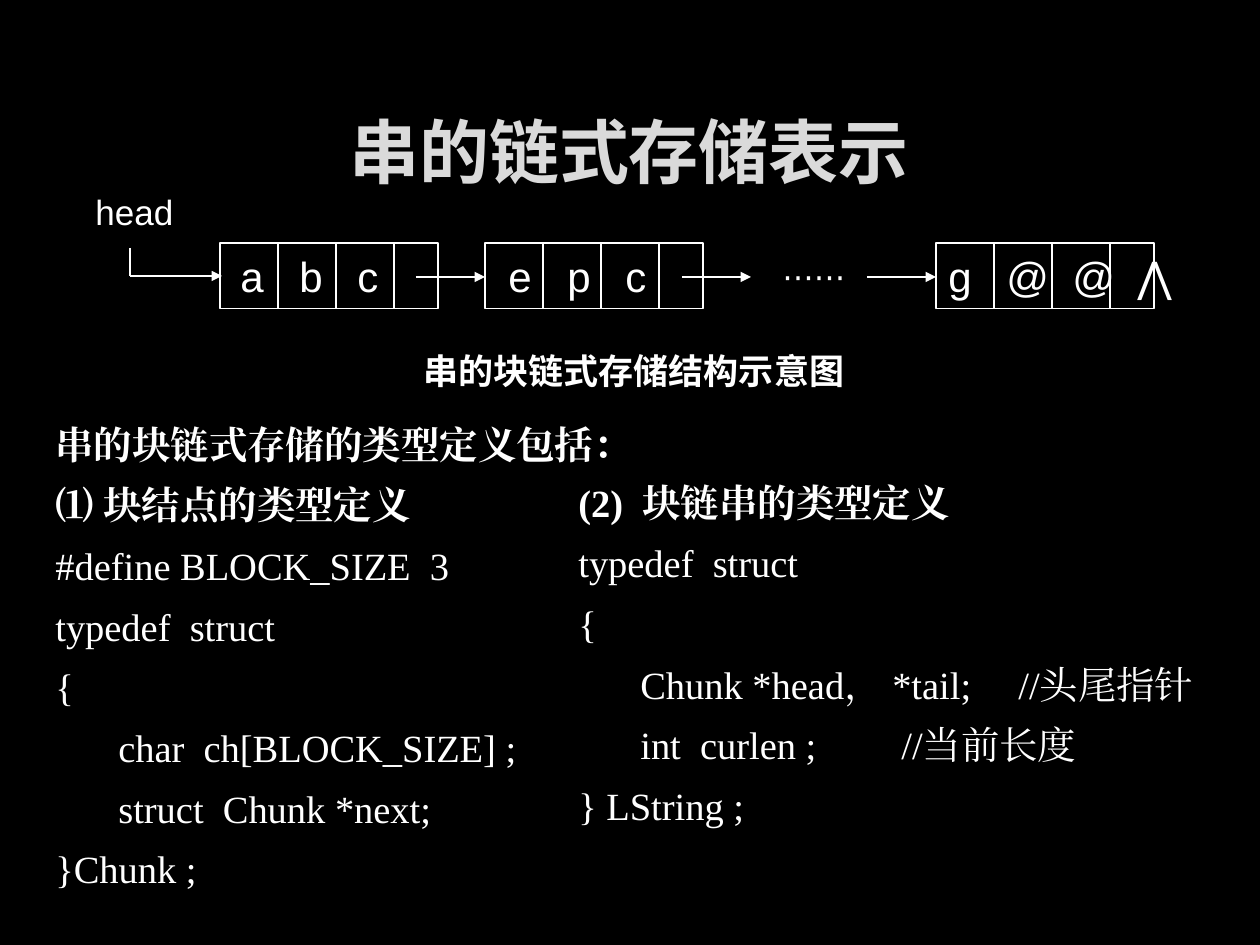
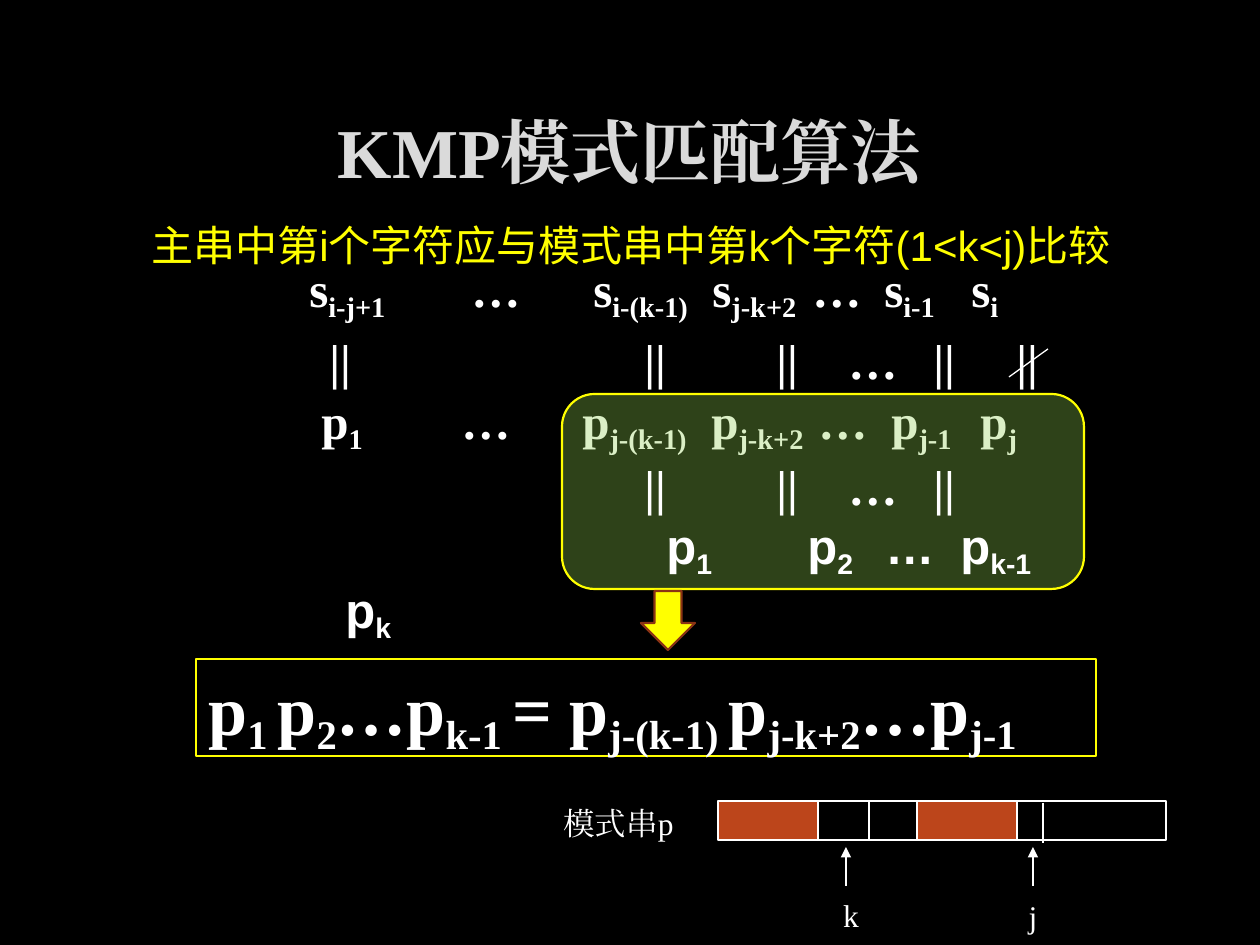
"""Build two dark lecture slides on linked strings and KMP matching."""
from lxml import etree
from pptx import Presentation
from pptx.dml.color import RGBColor
from pptx.enum.shapes import MSO_CONNECTOR, MSO_SHAPE
from pptx.enum.text import MSO_ANCHOR, PP_ALIGN
from pptx.oxml.ns import qn
from pptx.util import Pt

PIXEL = 7257
INSET = 13
RECTANGLE = MSO_SHAPE.RECTANGLE
ROUNDED = MSO_SHAPE.ROUNDED_RECTANGLE
DOWN_ARROW = MSO_SHAPE.DOWN_ARROW
STRAIGHT = MSO_CONNECTOR.STRAIGHT
TOP, MIDDLE = MSO_ANCHOR.TOP, MSO_ANCHOR.MIDDLE
LEFT, CENTER = PP_ALIGN.LEFT, PP_ALIGN.CENTER
SERIF, SANS, CHINESE = "Times New Roman", "Arial", "Noto Sans CJK SC"
BLACK, WHITE, YELLOW, RUST = "000000", "FFFFFF", "FFFF00", "BC451B"
GREEN, BROWN, TITLE_GRAY = "92D050", "8B3314", "DADADA"


def add_box(slide, box, text="", kind=None, fill=None, alpha=None, line=None, width=0.75,
            font=SERIF, size=18, color=WHITE, bold=False, bold_lines=0, align=LEFT,
            anchor=MIDDLE, wrap=True, tabs=(), line_spacing=None, space_before=0):
    """Add a text box or preset shape; ~ toggles subscript, tabs are slide x positions."""
    place = [value * PIXEL for value in box]
    if kind is None:
        shape = slide.shapes.add_textbox(*place)
    else:
        shape = slide.shapes.add_shape(kind, *place)
        shape.shadow.inherit = False
        if fill:
            shape.fill.solid()
            shape.fill.fore_color.rgb = RGBColor.from_string(fill)
            if alpha:
                solid = shape.fill.fore_color._xFill.find(qn("a:srgbClr"))
                etree.SubElement(solid, qn("a:alpha")).set("val", str(alpha * 1000))
        else:
            shape.fill.background()
        shape.line.color.rgb = RGBColor.from_string(line)
        shape.line.width = Pt(width)
    if not text:
        return
    frame = shape.text_frame
    frame.word_wrap = wrap
    frame.vertical_anchor = anchor
    for index, row in enumerate(text.split("\n")):
        paragraph = frame.add_paragraph() if index else frame.paragraphs[0]
        paragraph.alignment = align
        paragraph.line_spacing = line_spacing
        paragraph.space_before = Pt(space_before)
        if tabs:
            stops = etree.SubElement(paragraph._p.get_or_add_pPr(), qn("a:tabLst"))
            for tab in tabs:
                stop = etree.SubElement(stops, qn("a:tab"))
                stop.set("pos", str((tab - box[0] - INSET) * PIXEL))
                stop.set("algn", "l")
        for part, piece in enumerate(row.split("~")):
            if not piece:
                continue
            run = paragraph.add_run()
            run.text = piece
            run.font.name = font
            run.font.size = Pt(size)
            run.font.bold = bold or index < bold_lines
            run.font.color.rgb = RGBColor.from_string(color)
            properties = run._r.get_or_add_rPr()
            etree.SubElement(properties, qn("a:ea")).set("typeface", font)
            if part % 2:
                properties.set("baseline", "-20000")


def add_line(slide, start, end, width=0.75, arrow=False):
    """Add a straight white line between two points."""
    points = [value * PIXEL for value in (*start, *end)]
    connector = slide.shapes.add_connector(STRAIGHT, *points)
    connector.line.color.rgb = RGBColor.from_string(WHITE)
    connector.line.width = Pt(width)
    if arrow:
        etree.SubElement(connector.line._get_or_add_ln(), qn("a:tailEnd")).set("type", "triangle")
    etree.SubElement(connector._element.spPr, qn("a:effectLst"))


presentation = Presentation()
presentation.slide_width = 1260 * PIXEL
presentation.slide_height = 945 * PIXEL

slides = []
for title, font in (("串的链式存储表示", CHINESE), ("KMP模式匹配算法", SERIF)):
    slide = presentation.slides.add_slide(presentation.slide_layouts[6])
    slide.background.fill.solid()
    slide.background.fill.fore_color.rgb = RGBColor.from_string(BLACK)
    add_box(slide, (94, 84, 1070, 134), title, font=font, size=40, color=TITLE_GRAY,
            bold=True, align=CENTER)
    slides.append(slide)
storage, matching = slides

NODE_TOP, NODE_HEIGHT, NODE_WIDTH, CELL = 243, 66, 218, 58
nodes = (
    (220, "\ta\tb\tc", (241, 300, 358)),
    (485, "\te\tp\tc", (509, 568, 626)),
    (936, "g\t@\t@\t⋀", (1007, 1073, 1138)),
)
for left, letters, tabs in nodes:
    add_box(storage, (left, NODE_TOP, NODE_WIDTH, NODE_HEIGHT), letters, kind=RECTANGLE,
            line=WHITE, font=SANS, size=24, wrap=False, tabs=tabs)
    for cell in range(1, 4):
        x = left + cell * CELL
        add_line(storage, (x, NODE_TOP), (x, NODE_TOP + NODE_HEIGHT))
for x in (416, 682, 867):
    add_line(storage, (x, 277), (x + 69, 277), width=1.5, arrow=True)
add_box(storage, (762, 243, 104, 66), "⋯⋯", font=SANS, align=CENTER)
add_box(storage, (83, 179, 110, 66), "head", font=SANS, size=20)
add_line(storage, (130, 248), (130, 276), width=1.5)
add_line(storage, (130, 276), (222, 276), width=1.5, arrow=True)
add_box(storage, (311, 336, 646, 69), "串的块链式存储结构示意图", font=CHINESE, size=20,
        bold=True, align=CENTER)

chunk_code = """串的块链式存储的类型定义包括：
⑴ 块结点的类型定义
#define BLOCK_SIZE  3
typedef  struct
{
\tchar  ch[BLOCK_SIZE] ;
\tstruct  Chunk *next;
}Chunk ;"""
string_code = """(2)  块链串的类型定义
typedef  struct
{
\tChunk *head， *tail; \t//头尾指针
\tint  curlen ;\t//当前长度
} LString ;"""
for box, code, bold_lines, tabs in (
    ((43, 410, 581, 489), chunk_code, 2, (119,)),
    ((566, 468, 655, 367), string_code, 1, (641, 902, 1019)),
):
    add_box(storage, box, code, size=22, bold_lines=bold_lines, anchor=TOP, tabs=tabs,
            line_spacing=1.1, space_before=5.6)

add_box(matching, (286, 384, 873, 72),
        "\tp~1~\t…\tp~j-(k-1)~\tp~j-k+2~\t…\tp~j-1~\tp~j~", size=28, bold=True,
        anchor=TOP, tabs=(322, 462, 583, 712, 819, 892, 981))
add_box(matching, (268, 324, 924, 72), "\t||\t||\t||\t…\t||\t||", size=28, bold=True,
        anchor=TOP, tabs=(330, 645, 777, 849, 934, 1017))
add_line(matching, (1009, 377), (1048, 349))
add_box(matching, (562, 394, 522, 195), kind=ROUNDED, fill=GREEN, alpha=32, line=YELLOW,
        width=1.25)
add_box(matching, (641, 591, 54, 59), kind=DOWN_ARROW, fill=YELLOW, line=BROWN, width=1.25)
add_box(matching, (196, 659, 900, 97),
        "p~1 ~p~2~…p~k-1 ~= p~j-(k-1) ~p~j-k+2~…p~j-1~", kind=RECTANGLE, line=YELLOW,
        size=40, bold=True, anchor=TOP)

for left, width, fill in ((718, 100, RUST), (917, 100, RUST), (818, 99, None),
                          (1017, 149, None)):
    add_box(matching, (left, 801, width, 39), kind=RECTANGLE, fill=fill, line=WHITE)
for x, top in ((869, 801), (1043, 803)):
    add_line(matching, (x, top), (x, top + 40))
add_box(matching, (551, 798, 174, 49), "模式串p")
for label, x, center, top in (("k", 846, 851, 895), ("j", 1033, 1033, 896)):
    add_box(matching, (center - 25, top, 50, 39), label, align=CENTER)
    add_line(matching, (x, 886), (x, 847), arrow=True)

add_box(matching, (620, 450, 505, 72), "\t||\t||\t…\t||", size=28, bold=True, anchor=TOP,
        tabs=(645, 777, 849, 934))
add_box(matching, (261, 252, 798, 72),
        "\ts~i-j+1~\t…\ts~i-(k-1)~\ts~j-k+2~\t…\ts~i-1~\ts~i~", size=28, bold=True,
        anchor=TOP, tabs=(310, 472, 594, 713, 813, 885, 972))
add_box(matching, (333, 509, 753, 144), "\tp~1~\tp~2~\t…\tp~k-1~\np~k~", font=SANS, size=28,
        bold=True, anchor=TOP, tabs=(667, 808, 886, 961))
add_box(matching, (139, 213, 998, 63), "主串中第i个字符应与模式串中第k个字符(1<k<j)比较",
        font=SANS, size=24, color=YELLOW, anchor=TOP)

presentation.save("out.pptx")
